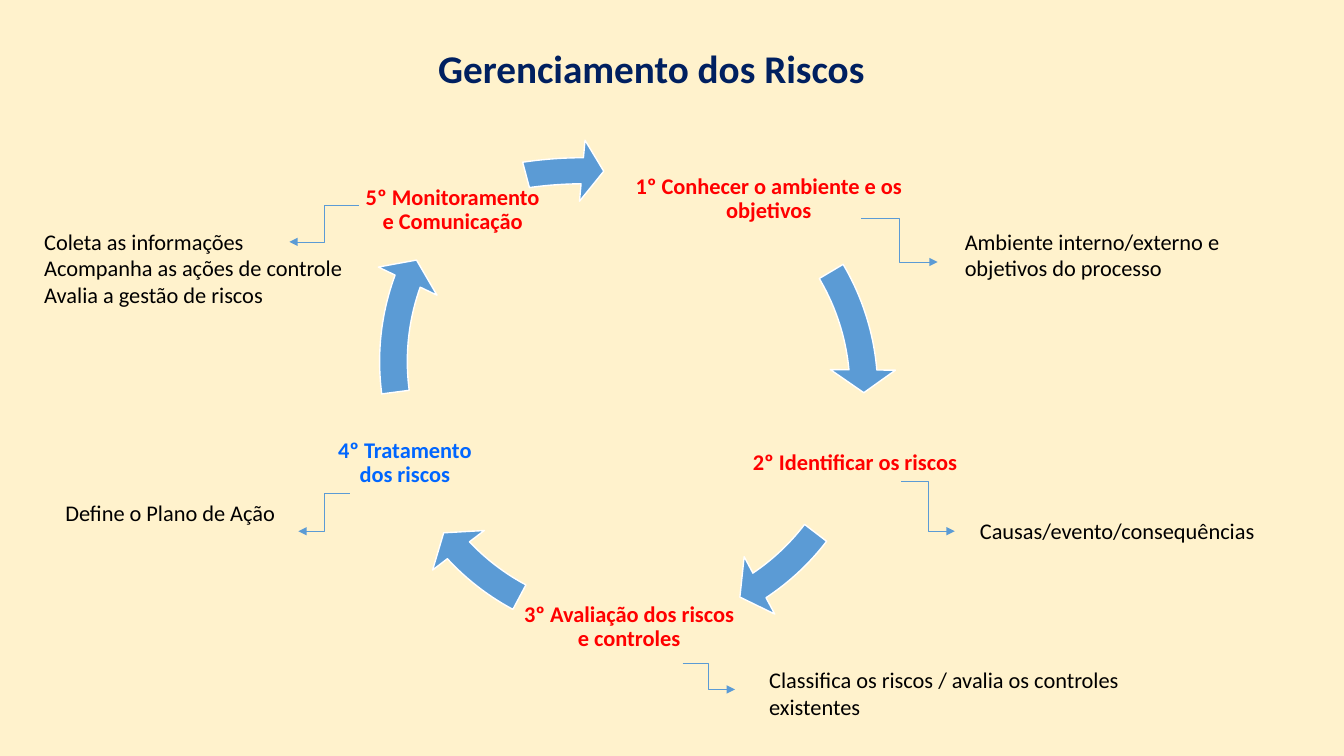
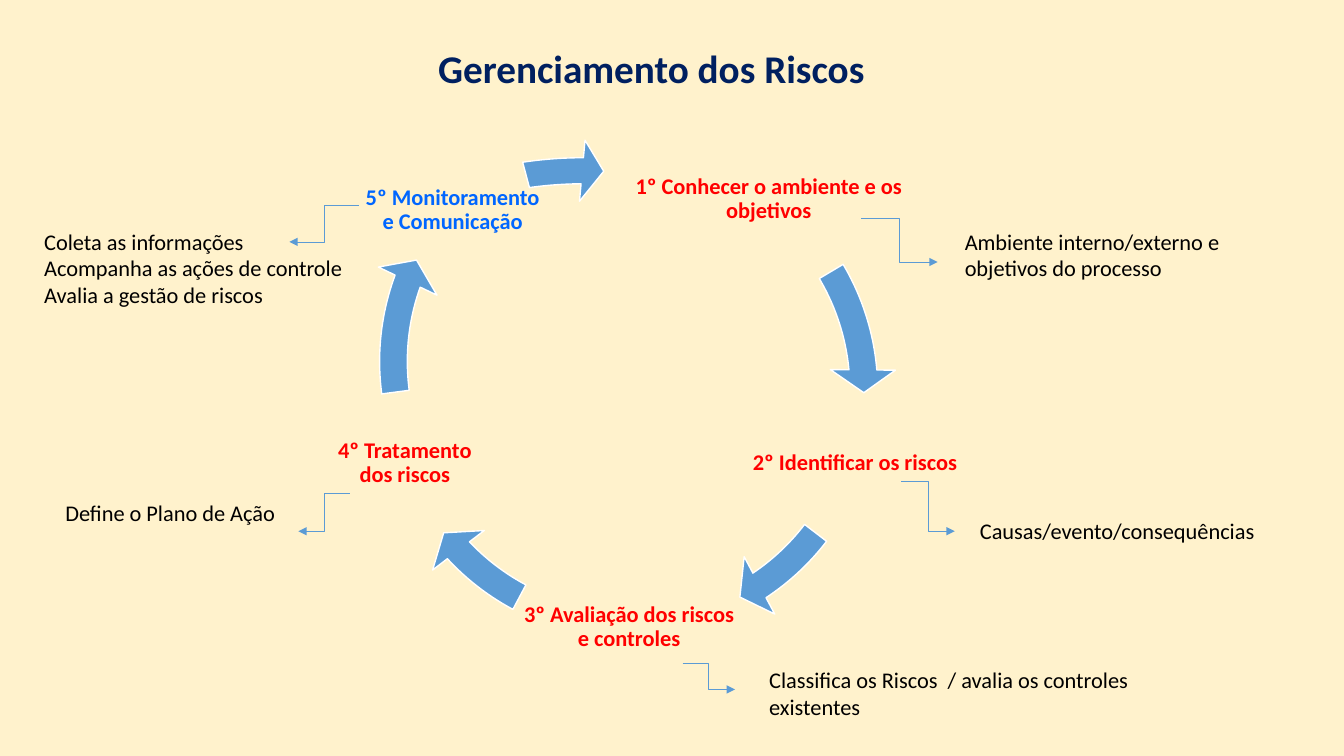
from pptx import Presentation
from pptx.dml.color import RGBColor
from pptx.enum.shapes import MSO_CONNECTOR, MSO_SHAPE
from pptx.enum.text import MSO_ANCHOR, PP_ALIGN
from pptx.oxml.ns import qn
from pptx.util import Inches, Pt
from lxml import etree

CIRCULAR_ARROW = MSO_SHAPE.CIRCULAR_ARROW
ELBOW = MSO_CONNECTOR.ELBOW
TOP, MIDDLE = MSO_ANCHOR.TOP, MSO_ANCHOR.MIDDLE
LEFT, CENTER = PP_ALIGN.LEFT, PP_ALIGN.CENTER

FONT = "Calibri"
CREAM, NAVY, BLACK, WHITE = "FFF2CC", "002060", "000000", "FFFFFF"
RED, HIGHLIGHT, STEEL = "FF0000", "0066FF", "5B9BD5"

TITLE_BOX = (0.71, 0.4, 11.5, 0.6)
CYCLE_ORIGIN = (2.53, 0.94)
RING_BOX = (1.07, 0.29, 5.29, 5.29)
STAGES = [
    ("1º Conhecer o ambiente e os objetivos", (3.47, 0.33, 3.25, 1.41), RING_BOX, 329.4, 354.93),
    ("2º Identificar os riscos", (4.57, 2.95, 2.76, 1.41), RING_BOX, 37.42, 56.33),
    ("3º Avaliação dos riscos e controles", (2.61, 4.58, 2.2, 1.41), RING_BOX, 118.08, 136.99),
    ("4º Tratamento dos riscos", (0.78, 2.95, 1.41, 1.41), (1.05, 0, 5.29, 5.29), 172.46, 200.05),
    ("5º Monitoramento e Comunicação", (1.03, 0.67, 1.86, 0.96), (0, 0.45, 6.52, 4.98), 255.06, 269.61),
]
CALLOUTS = [
    ((9.47, 2.21, 2.98, 0.64), (-0.93, -0.04), (0.76, 0.43)),
    ((9.62, 5.08, 2.98, 0.37), (-0.68, -0.3), (0.53, 0.49)),
    ((7.53, 6.56, 3.88, 0.64), (-0.76, 0.02), (0.52, 0.26)),
    ((0.55, 4.9, 2.84, 0.37), (2.92, -0.01), (-0.51, 0.38)),
    ((0.34, 2.21, 3.26, 0.91), (3.22, -0.17), (-0.69, 0.36)),
]
SLIDES = [
    (4, "Classifica os riscos / avalia os controles existentes"),
    (5, "Classifica os Riscos  / avalia os controles existentes"),
]


def color(value):
    return RGBColor.from_string(value)


def inches(values):
    return [Inches(value) for value in values]


def shift(box, origin):
    return (box[0] + origin[0], box[1] + origin[1], *box[2:])


def add_text(slide, box, lines, size, ink, bold=False, align=LEFT, anchor=TOP, inset=None, spacing=None):
    frame = slide.shapes.add_textbox(*inches(box)).text_frame
    frame.word_wrap = True
    frame.vertical_anchor = anchor
    if inset is not None:
        frame.margin_left = frame.margin_right = Inches(inset)
        frame.margin_top = frame.margin_bottom = Inches(inset)
    for index, line in enumerate(lines):
        para = frame.add_paragraph() if index else frame.paragraphs[0]
        para.text = line
        para.alignment = align
        para.line_spacing = spacing
        para.font.name = FONT
        para.font.size = Pt(size)
        para.font.bold = bold
        para.font.color.rgb = color(ink)


def add_title(slide, box):
    add_text(slide, box, ["Gerenciamento dos Riscos"], 28, NAVY, True, CENTER, MIDDLE, spacing=0.9)


def add_cycle_arrow(slide, box, start_angle, end_angle):
    arrow = slide.shapes.add_shape(CIRCULAR_ARROW, *inches(box))
    arrow.shadow.inherit = False
    arrow.fill.solid()
    arrow.fill.fore_color.rgb = color(STEEL)
    arrow.line.color.rgb = color(WHITE)
    arrow.line.width = Pt(1)
    thickness, head_width = 5.2 / 100, 6.1 / 100
    angles = [angle * 0.6 for angle in (5.59, end_angle, start_angle)]
    for index, value in enumerate([thickness, *angles, head_width]):
        arrow.adjustments[index] = value


def add_cycle(slide, origin, current_stage):
    for number, (label, label_box, ring_box, start_angle, end_angle) in enumerate(STAGES, 1):
        ink = HIGHLIGHT if number == current_stage else RED
        add_text(slide, shift(label_box, origin), [label], 16, ink, True, CENTER, MIDDLE, 0.02, 0.9)
        add_cycle_arrow(slide, shift(ring_box, origin), start_angle, end_angle)


def add_callout(slide, box, lines, start_offset, reach):
    add_text(slide, box, lines, 16, BLACK)
    start = shift(start_offset, box)
    end = shift(reach, start)
    connector = slide.shapes.add_connector(ELBOW, *inches(start + end))
    connector.line.color.rgb = color(STEEL)
    connector.line.width = Pt(0.5)
    outline = connector.line._get_or_add_ln()
    etree.SubElement(outline, qn("a:tailEnd"), type="triangle")
    etree.SubElement(connector._element.spPr, qn("a:effectLst"))


def add_risk_slide(deck, current_stage, assessment):
    page = deck.slides.add_slide(deck.slide_layouts[6])
    page.background.fill.solid()
    page.background.fill.fore_color.rgb = color(CREAM)
    add_title(page, TITLE_BOX)
    add_cycle(page, CYCLE_ORIGIN, current_stage)
    notes = [
        ["Ambiente interno/externo e objetivos do processo"],
        ["Causas/evento/consequências"],
        [assessment],
        ["Define o Plano de Ação"],
        ["Coleta as informações", "Acompanha as ações de controle", "Avalia a gestão de riscos"],
    ]
    for lines, (box, start_offset, reach) in zip(notes, CALLOUTS):
        add_callout(page, box, lines, start_offset, reach)


def main():
    deck = Presentation()
    deck.slide_width, deck.slide_height = inches((13.33, 7.5))
    for current_stage, assessment in SLIDES:
        add_risk_slide(deck, current_stage, assessment)
    deck.save("out.pptx")


if __name__ == "__main__":
    main()
